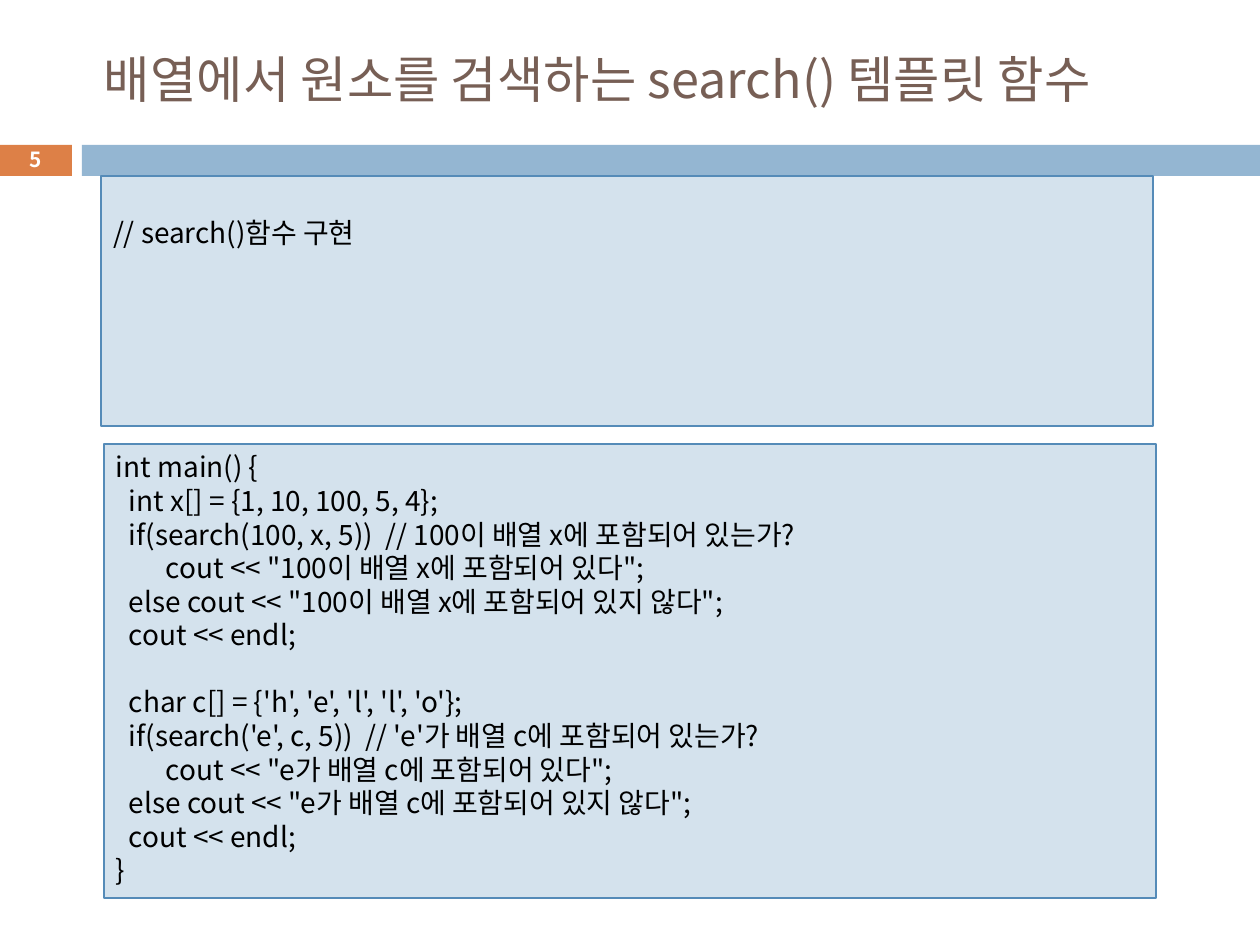
from lxml import etree
from pptx import Presentation
from pptx.dml.color import RGBColor
from pptx.enum.shapes import MSO_SHAPE
from pptx.enum.text import MSO_ANCHOR, MSO_AUTO_SIZE, PP_ALIGN
from pptx.oxml.ns import qn
from pptx.util import Pt

RECTANGLE = MSO_SHAPE.RECTANGLE
MIDDLE, TOP = MSO_ANCHOR.MIDDLE, MSO_ANCHOR.TOP
LEFT, CENTER = PP_ALIGN.LEFT, PP_ALIGN.CENTER
NO_FIT = MSO_AUTO_SIZE.NONE

EMU_PER_PX = 914400 // 126
FONT = "Noto Sans CJK KR"
CODE_SIZE, CODE_PITCH = 16, 19.2
INDENT = (0, 13, 50)  # px for each nesting level

TITLE = "배열에서 원소를 검색하는 search() 템플릿 함수"
IMPLEMENTATION = [(0, "// search()함수 구현")]
# Each block is a list of (nesting level, code line)
MAIN_BLOCKS = [
    [
        (0, "int main() {"),
        (1, "int x[] = {1, 10, 100, 5, 4};"),
        (1, "if(search(100, x, 5))  // 100이 배열 x에 포함되어 있는가?"),
        (2, 'cout << "100이 배열 x에 포함되어 있다";'),
        (1, 'else cout << "100이 배열 x에 포함되어 있지 않다";'),
        (1, "cout << endl;"),
    ],
    [
        (1, "char c[] = {'h', 'e', 'l', 'l', 'o'};"),
        (1, "if(search('e', c, 5))  // 'e'가 배열 c에 포함되어 있는가?"),
        (2, 'cout << "e가 배열 c에 포함되어 있다";'),
        (1, 'else cout << "e가 배열 c에 포함되어 있지 않다";'),
        (1, "cout << endl;"),
        (0, "}"),
    ],
]


def px(length):
    return length * EMU_PER_PX


def color(hex_string):
    return RGBColor.from_string(hex_string)


def set_frame(frame, anchor, side=12, top=6, bottom=6):
    frame.word_wrap = True
    frame.auto_size = NO_FIT
    frame.vertical_anchor = anchor
    frame.margin_left = frame.margin_right = px(side)
    frame.margin_top, frame.margin_bottom = px(top), px(bottom)


def write(para, text, size, hex_string, bold=False, align=LEFT, indent=0):
    para.text = text
    para.alignment = align
    properties = para._p.get_or_add_pPr()
    properties.set("marL", str(px(indent)))
    properties.set("indent", "0")
    for span in para.runs:
        span.font.name = FONT
        span.font.size = Pt(size)
        span.font.bold = bold
        span.font.color.rgb = color(hex_string)
        # Korean letters take the East Asian typeface
        east_asian = etree.SubElement(span.font._element, qn("a:ea"))
        east_asian.set("typeface", FONT)


def add_box(page, box, fill, line=None):
    shape = page.shapes.add_shape(RECTANGLE, *map(px, box))
    shape.shadow.inherit = False
    shape.fill.solid()
    shape.fill.fore_color.rgb = color(fill)
    if line:
        shape.line.color.rgb = color(line)
        shape.line.width = Pt(0.75)
    else:
        shape.line.fill.background()
    return shape


def place_title(page, box):
    title = page.shapes.title
    title.left, title.top, title.width, title.height = map(px, box)
    set_frame(title.text_frame, MIDDLE)
    write(title.text_frame.paragraphs[0], TITLE, 28.8, "775F55", indent=8)


def add_band(page, box, number):
    left, top, width, height = box
    tab, gap = 73, 10
    # Slide number tab
    badge = add_box(page, (left, top, tab, height), "DD8047")
    set_frame(badge.text_frame, MIDDLE, 0, 0, 2)
    write(badge.text_frame.paragraphs[0], number, 11.9, "FFFFFF", True, CENTER)
    # Rest of the band
    offset = tab + gap
    add_box(page, (left + offset, top, width - offset, height), "94B6D2")


def add_code(page, box, blocks, top_lines=0):
    frame = add_box(page, box, "D4E2ED", "558BB8").text_frame
    set_frame(frame, TOP, top=6 + 34 * top_lines)
    para = frame.paragraphs[0]
    for block_index, block in enumerate(blocks):
        for line_index, (level, text) in enumerate(block):
            if block_index or line_index:
                para = frame.add_paragraph()
            write(para, text, CODE_SIZE, "000000", indent=INDENT[level])
            para.line_spacing = Pt(CODE_PITCH)
            # One line of space between blocks
            starts_block = block_index and not line_index
            para.space_before = Pt(CODE_PITCH if starts_block else 0)


def main():
    deck = Presentation()
    deck.slide_width, deck.slide_height = px(1260), px(945)
    page = deck.slides.add_slide(deck.slide_layouts[5])
    add_band(page, (-1, 145, 1261, 31), "5")
    place_title(page, (84, 32, 1150, 93))
    add_code(page, (101, 176, 1052, 250), [IMPLEMENTATION], top_lines=1)
    add_code(page, (104, 444, 1052, 454), MAIN_BLOCKS)
    deck.save("out.pptx")


if __name__ == "__main__":
    main()
